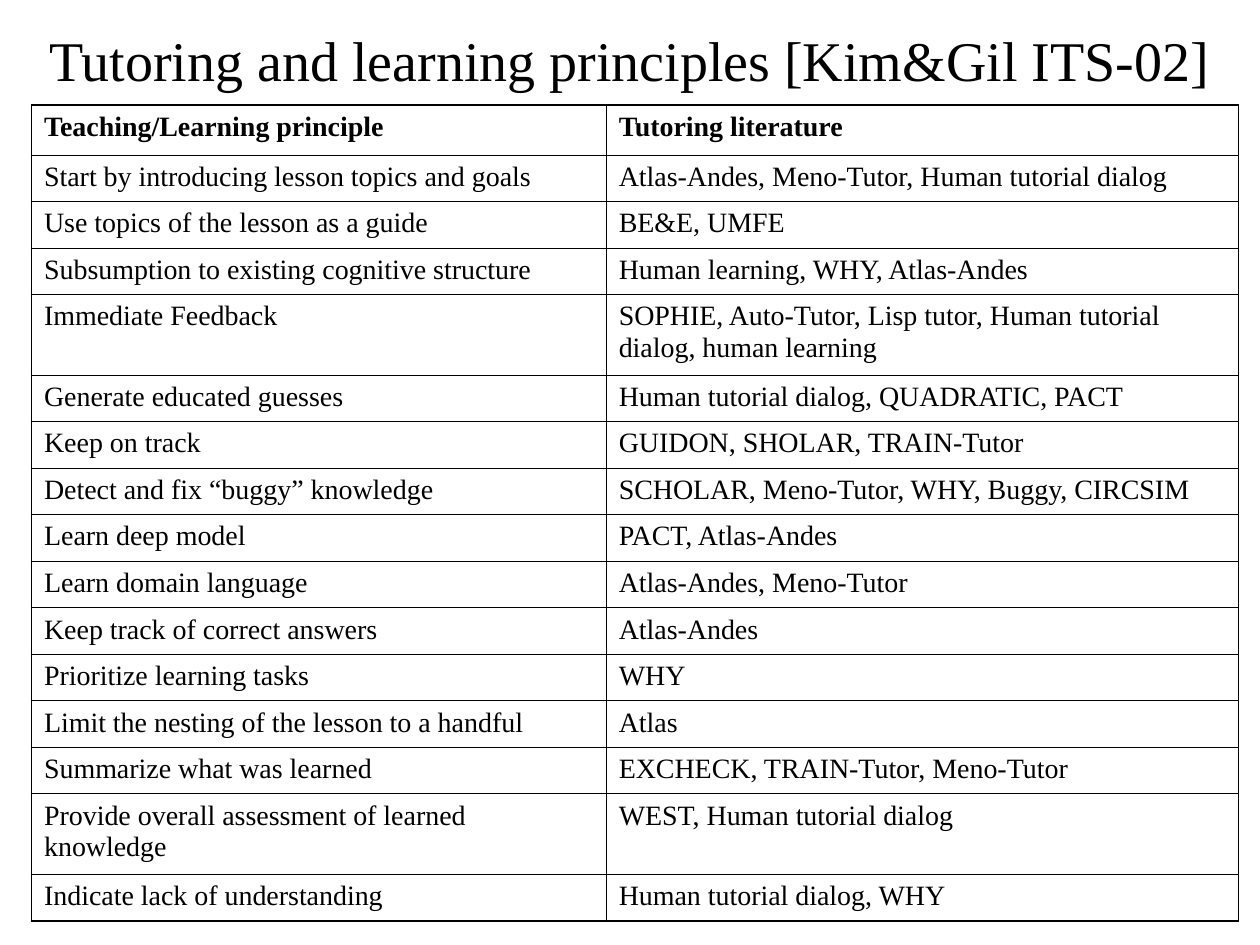
"""Build a slide with a table of tutoring principles and their literature."""
from lxml import etree
from pptx import Presentation
from pptx.dml.color import RGBColor
from pptx.enum import text as txt
from pptx.oxml import ns
from pptx.util import Pt

TITLE = "Tutoring and learning principles [Kim&Gil ITS-02]"
PRINCIPLES = [
    ("Teaching/Learning principle", "Tutoring literature"),
    ("Start by introducing lesson topics and goals", "Atlas-Andes, Meno-Tutor, Human tutorial dialog"),
    ("Use topics of the lesson as a guide", "BE&E, UMFE"),
    ("Subsumption to existing cognitive structure", "Human learning, WHY, Atlas-Andes"),
    ("Immediate Feedback", "SOPHIE, Auto-Tutor, Lisp tutor, Human tutorial dialog, human learning"),
    ("Generate educated guesses", "Human tutorial dialog, QUADRATIC, PACT"),
    ("Keep on track", "GUIDON, SHOLAR, TRAIN-Tutor"),
    ("Detect and fix “buggy” knowledge", "SCHOLAR, Meno-Tutor, WHY, Buggy, CIRCSIM"),
    ("Learn deep model", "PACT, Atlas-Andes"),
    ("Learn domain language", "Atlas-Andes, Meno-Tutor"),
    ("Keep track of correct answers", "Atlas-Andes"),
    ("Prioritize learning tasks", "WHY"),
    ("Limit the nesting of the lesson to a handful", "Atlas"),
    ("Summarize what was learned", "EXCHECK, TRAIN-Tutor, Meno-Tutor"),
    ("Provide overall assessment of learned knowledge", "WEST, Human tutorial dialog"),
    ("Indicate lack of understanding", "Human tutorial dialog, WHY"),
]
TABLE_LEFT, TABLE_TOP = 18, 60
COLUMN_WIDTHS = (328.4, 361.4)
HEADER_HEIGHT, ROW_HEIGHT, TALL_HEIGHT = 28.6, 26.6, 46
TALL_ROWS = {4, 14}
OUTER_LINE, INNER_LINE = 1.08, 0.45
INK, PAPER = "000000", "FFFFFF"


def color(value):
    return RGBColor.from_string(value)


def write(frame, content, size=16, bold=False, align=txt.PP_ALIGN.LEFT):
    frame.word_wrap = True
    paragraph = frame.paragraphs[0]
    paragraph.alignment = align
    run = paragraph.add_run()
    run.text = content
    run.font.name = "Times New Roman"
    run.font.size = Pt(size)
    run.font.bold = bold
    run.font.color.rgb = color(INK)


def set_borders(cell, widths):
    properties = cell._tc.get_or_add_tcPr()
    for index, (side, width) in enumerate(widths.items()):
        line = etree.Element(ns.qn(f"a:ln{side}"), w=str(Pt(width)))
        fill = etree.SubElement(line, ns.qn("a:solidFill"))
        etree.SubElement(fill, ns.qn("a:srgbClr"), val=INK)
        properties.insert(index, line)


def row_height(row):
    if row == 0:
        return HEADER_HEIGHT
    return TALL_HEIGHT if row in TALL_ROWS else ROW_HEIGHT


def add_title(slide):
    title = slide.shapes.add_textbox(Pt(0), Pt(6.5), Pt(720), Pt(64.8))
    title.text_frame.margin_top = Pt(8)
    write(title.text_frame, TITLE, size=32, align=txt.PP_ALIGN.CENTER)


def add_principles(slide):
    heights = [row_height(row) for row in range(len(PRINCIPLES))]
    last_row, last_column = len(heights) - 1, len(COLUMN_WIDTHS) - 1
    table = slide.shapes.add_table(
        len(heights), len(COLUMN_WIDTHS), Pt(TABLE_LEFT), Pt(TABLE_TOP),
        Pt(sum(COLUMN_WIDTHS)), Pt(sum(heights))).table
    table.horz_banding = False
    for column, width in zip(table.columns, COLUMN_WIDTHS):
        column.width = Pt(width)
    for row, entries in enumerate(PRINCIPLES):
        table.rows[row].height = Pt(heights[row])
        for column, entry in enumerate(entries):
            cell = table.cell(row, column)
            cell.fill.solid()
            cell.fill.fore_color.rgb = color(PAPER)
            write(cell.text_frame, entry, bold=row == 0)
            on_edge = {"L": column == 0, "R": column == last_column,
                       "T": row == 0, "B": row == last_row}
            set_borders(cell, {side: OUTER_LINE if edge else INNER_LINE
                               for side, edge in on_edge.items()})


def main():
    deck = Presentation()
    deck.slide_width, deck.slide_height = Pt(720), Pt(540)
    slide = deck.slides.add_slide(deck.slide_layouts[6])
    add_title(slide)
    add_principles(slide)
    deck.save("out.pptx")


if __name__ == "__main__":
    main()
